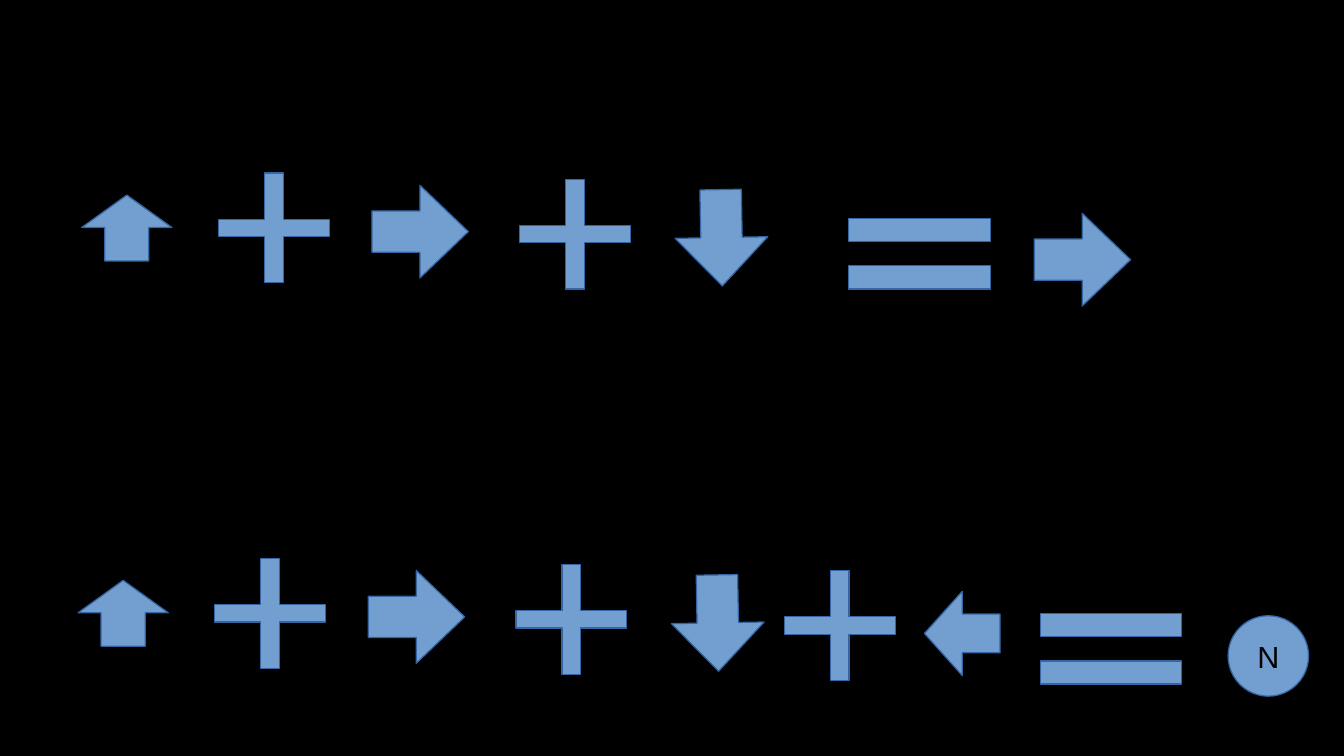
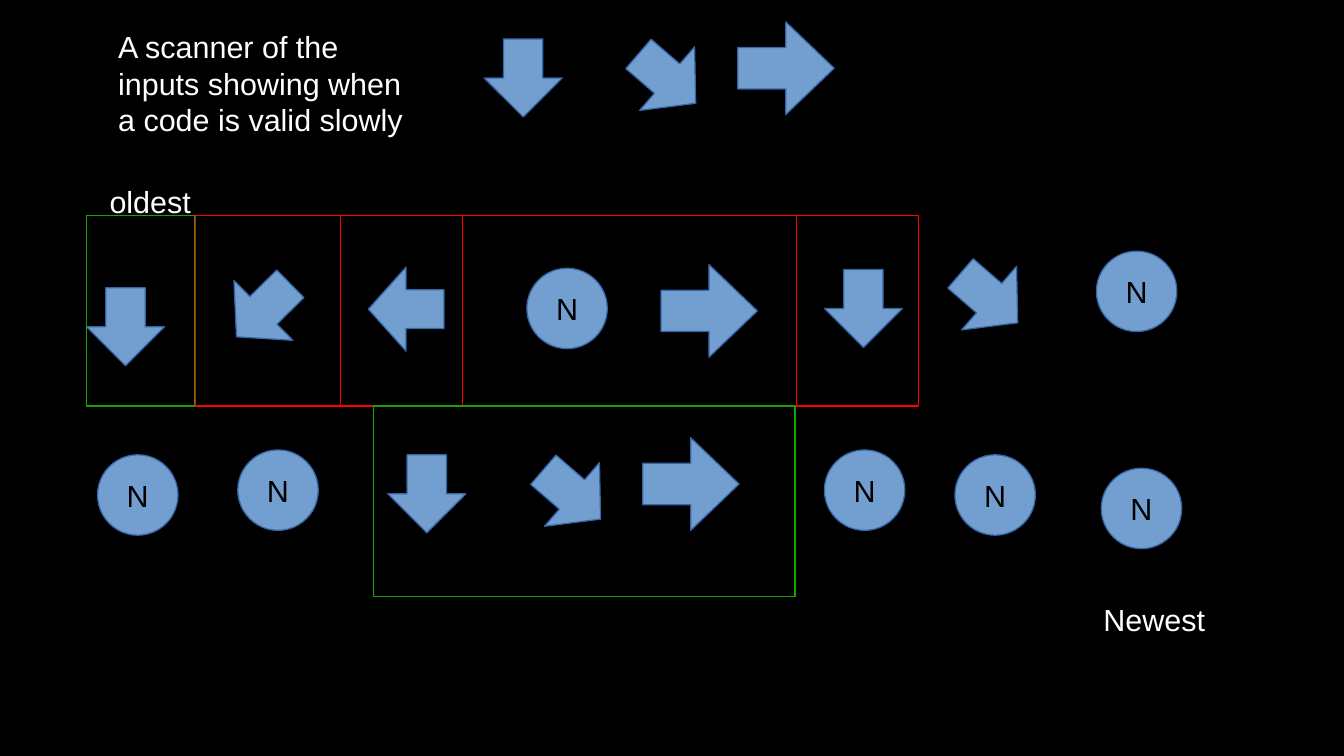
import pptx
import pptx.util
import pptx.dml.color
import pptx.enum.shapes
import pptx.enum.text
from dataclasses import dataclass

Inches = pptx.util.Inches
Color = pptx.dml.color.RGBColor.from_string
Shape = pptx.enum.shapes.MSO_SHAPE


@dataclass(frozen=True)
class Theme:
    back: str = "000000"
    fill: str = "729FCF"
    edge: str = "3465A4"
    dark: str = "000000"
    light: str = "FFFFFF"
    valid: str = "18A303"
    wrong: str = "FF0000"
    font: str = "Arial"
    size: int = 18


theme = Theme()

# name: preset, width, height, rotation, adjustments
SIGNS = {
    "right": (Shape.RIGHT_ARROW, 0.79, 0.76, 0, (0.447, 0.522)),
    "up": (Shape.UP_ARROW, 0.74, 0.54, 0, (0.488, 0.493)),
    "down": (Shape.DOWN_ARROW, 0.64, 0.64, 0, (0.505, 0.5)),
    "left": (Shape.LEFT_ARROW, 0.62, 0.69, 0, (0.461, 0.5)),
    "fall": (Shape.RIGHT_ARROW, 0.79, 0.76, 89, (0.447, 0.522)),
    "southeast": (Shape.LEFT_ARROW, 0.62, 0.69, 220.8, (0.461, 0.5)),
    "southwest": (Shape.LEFT_ARROW, 0.62, 0.69, 315.5, (0.461, 0.5)),
    "plus": (Shape.CROSS, 0.91, 0.9, 0, (0.42,)),
    "bar": (Shape.RECTANGLE, 1.16, 0.19, 0, ()),
    "neutral": (Shape.OVAL, 0.66, 0.66, 0, ()),
}


def style(para, color):
    para.font.name = theme.font
    para.font.size = pptx.util.Pt(theme.size)
    para.font.color.rgb = Color(color)


def draw(shapes, name, left, top):
    """Add one sign; an equals sign is a group of two bars."""
    if name == "equals":
        pair = shapes.add_group_shape().shapes
        for drop in (0, 0.39):
            draw(pair, "bar", left, top + drop)
        return
    kind, width, height, turn, bends = SIGNS[name]
    sign = shapes.add_shape(kind, Inches(left), Inches(top), Inches(width), Inches(height))
    sign.shadow.inherit = False
    sign.rotation = turn
    for i, bend in enumerate(bends):
        sign.adjustments[i] = bend
    sign.fill.solid()
    sign.fill.fore_color.rgb = Color(theme.fill)
    sign.line.color.rgb = Color(theme.edge)
    sign.line.width = 0
    if name == "neutral":
        frame = sign.text_frame
        frame.word_wrap = False
        frame.vertical_anchor = pptx.enum.text.MSO_ANCHOR.MIDDLE
        para = frame.paragraphs[0]
        para.text = "N"
        para.alignment = pptx.enum.text.PP_ALIGN.CENTER
        style(para, theme.dark)


deck = pptx.Presentation()
deck.slide_width = Inches(11.02)
deck.slide_height = Inches(6.2)

# Sums of inputs: both rows open with the same five signs
opening = [
    ("right", 3.05, 1.52), ("up", 0.67, 1.6), ("plus", 1.79, 1.42),
    ("fall", 5.52, 1.57), ("plus", 4.26, 1.47),
]
sums = opening + [("right", 8.48, 1.75), ("equals", 6.96, 1.79)]
sums += [(name, left - 0.03, top + 3.16) for name, left, top in opening]
sums += [
    ("equals", 8.53, 5.03), ("plus", 6.43, 4.68),
    ("left", 7.58, 4.85), ("neutral", 10.07, 5.05),
]

# Scanner: the code, then the inputs from oldest to newest
scan = [
    ("down", 3.97, 0.32), ("southeast", 5.16, 0.3), ("right", 6.05, 0.18),
    ("down", 0.71, 2.36), ("southwest", 1.85, 2.2), ("left", 3.02, 2.19),
    ("neutral", 4.32, 2.2), ("right", 5.42, 2.17), ("down", 6.76, 2.21),
    ("southeast", 7.8, 2.1), ("neutral", 8.99, 2.06),
    ("neutral", 0.8, 3.73), ("neutral", 1.95, 3.69), ("down", 3.18, 3.73),
    ("southeast", 4.38, 3.71), ("right", 5.27, 3.59), ("neutral", 6.76, 3.69),
    ("neutral", 7.83, 3.73), ("neutral", 9.03, 3.84),
]

for signs in (sums, scan):
    slide = deck.slides.add_slide(deck.slide_layouts[6])
    slide.background.fill.solid()
    slide.background.fill.fore_color.rgb = Color(theme.back)
    for name, left, top in signs:
        draw(slide.shapes, name, left, top)

for words, left, top, width, height in (
    ("oldest", 0.8, 1.45, 1.13, 0.66),
    ("Newest", 8.95, 4.88, 1.23, 0.66),
    ("A scanner of the inputs showing when a code is valid slowly", 0.87, 0.18, 2.62, 1.18),
):
    box = slide.shapes.add_textbox(Inches(left), Inches(top), Inches(width), Inches(height))
    box.text_frame.word_wrap = True
    para = box.text_frame.paragraphs[0]
    para.text = words
    style(para, theme.light)

# Windows of the scanner
tall = 1.56
first = 1.77
for left, top, width, color in (
    (0.71, first, 0.89, theme.valid),
    (2.79, first, 3.74, theme.wrong),
    (1.6, first, 2.19, theme.wrong),
    (3.79, first, 3.74, theme.wrong),
    (3.06, first + tall, 3.46, theme.valid),
):
    frame = slide.shapes.add_shape(
        Shape.RECTANGLE, Inches(left), Inches(top), Inches(width), Inches(tall))
    frame.shadow.inherit = False
    frame.fill.background()
    frame.line.color.rgb = Color(color)
    frame.line.width = 0

deck.save("out.pptx")
